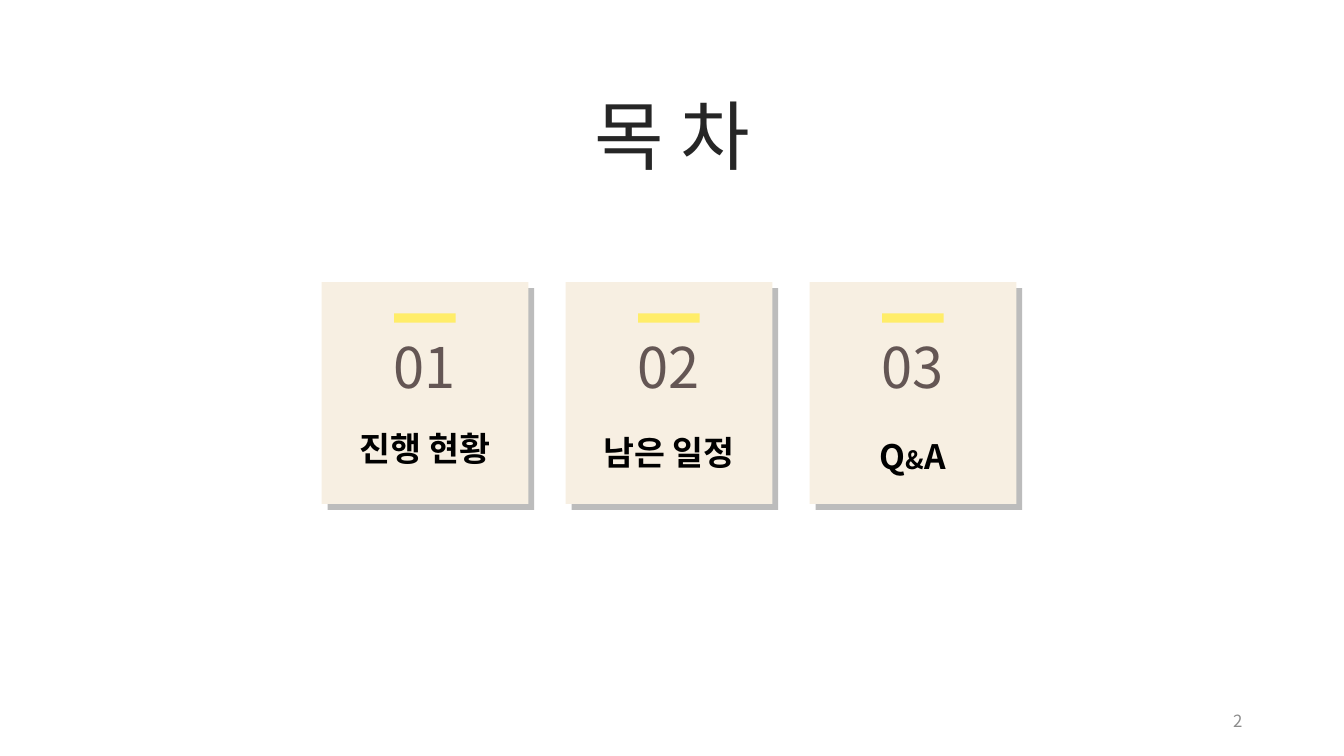
from dataclasses import dataclass

from lxml import etree
from pptx import Presentation
from pptx.dml.color import RGBColor
from pptx.enum.shapes import MSO_SHAPE
from pptx.enum.text import MSO_ANCHOR, PP_ALIGN
from pptx.oxml.ns import qn
from pptx.shapes.autoshape import Shape
from pptx.slide import Slide
from pptx.util import Inches, Pt

RECT = MSO_SHAPE.RECTANGLE
MIDDLE = MSO_ANCHOR.MIDDLE
CENTER, RIGHT = PP_ALIGN.CENTER, PP_ALIGN.RIGHT
FONT = "Noto Sans CJK KR"
LEFT, TOP, PITCH = 3.19, 2.8, 2.42
CARD_W, CARD_H = 2.05, 2.2
BAR_W, BAR_H = 0.61, 0.09
TEXT_W, TEXT_H = 2.99, 1.5


@dataclass
class Topic:
    number: str
    label: list[tuple[str, int]]
    gap: int


TOPICS = [
    Topic("01", [("진행 현황", 24)], 20),
    Topic("02", [("남은 일정", 24)], 23),
    Topic("03", [("Q", 24), ("&", 18), ("A", 24)], 26),
]


def color(code: str) -> RGBColor:
    return RGBColor.from_string(code)


def style(para, size: int, code: str, align: PP_ALIGN = CENTER, bold: bool = False) -> None:
    para.alignment = align
    font = para.font
    font.name, font.size, font.bold = FONT, Pt(size), bold
    font.color.rgb = color(code)
    props = para._p.pPr.find(qn("a:defRPr"))
    etree.SubElement(props, qn("a:ea")).set("typeface", FONT)


def add_box(slide: Slide, x: float, y: float, w: float, h: float, code: str) -> Shape:
    box = slide.shapes.add_shape(RECT, Inches(x), Inches(y), Inches(w), Inches(h))
    box.shadow.inherit = False
    box.fill.solid()
    box.fill.fore_color.rgb = color(code)
    box.line.fill.background()
    return box


def add_shade(box: Shape) -> None:
    """Cast a hard grey shadow to the lower right."""
    effects = box._element.spPr.find(qn("a:effectLst"))
    shade = etree.SubElement(effects, qn("a:outerShdw"), blurRad="0",
                             dist=str(Pt(6)), dir="2700000", algn="tl", rotWithShape="0")
    tint = etree.SubElement(shade, qn("a:srgbClr"), val="595959")
    etree.SubElement(tint, qn("a:alpha"), val="40000")


def add_text(slide: Slide, x: float, y: float, w: float, h: float):
    frame = slide.shapes.add_textbox(Inches(x), Inches(y), Inches(w), Inches(h)).text_frame
    frame.word_wrap = True
    return frame


def add_card(slide: Slide, index: int, topic: Topic) -> None:
    x = LEFT + index * PITCH
    mid = x + CARD_W / 2
    add_shade(add_box(slide, x, TOP, CARD_W, CARD_H, "F7EFE2"))
    add_box(slide, mid - BAR_W / 2, TOP + 0.31, BAR_W, BAR_H, "FFED69")
    frame = add_text(slide, mid - TEXT_W / 2, TOP + 0.45, TEXT_W, TEXT_H)
    number = frame.paragraphs[0]
    number.text = topic.number
    style(number, 40, "645654")
    label = frame.add_paragraph()
    label.space_before = Pt(topic.gap)
    style(label, 24, "000000", bold=True)
    for text, size in topic.label:
        run = label.add_run()
        run.text = text
        run.font.size = Pt(size)


def add_title(slide: Slide) -> None:
    title = slide.shapes.title
    title.left, title.top = Inches(0.67), Inches(0.76)
    title.width, title.height = Inches(12), Inches(1.25)
    frame = title.text_frame
    frame.text = "목 차"
    frame.vertical_anchor = MIDDLE
    para = frame.paragraphs[0]
    para.line_spacing = 0.9
    style(para, 54, "262626")


def add_page(slide: Slide) -> None:
    frame = add_text(slide, 9.42, 6.95, 3, 0.4)
    frame.vertical_anchor = MIDDLE
    para = frame.paragraphs[0]
    para.text = "2"
    style(para, 12, "8C8C8C", RIGHT)


def main() -> None:
    deck = Presentation()
    deck.slide_width, deck.slide_height = Inches(13.33), Inches(7.5)
    slide = deck.slides.add_slide(deck.slide_layouts[5])
    add_title(slide)
    for index, topic in enumerate(TOPICS):
        add_card(slide, index, topic)
    add_page(slide)
    deck.save("out.pptx")


if __name__ == "__main__":
    main()
